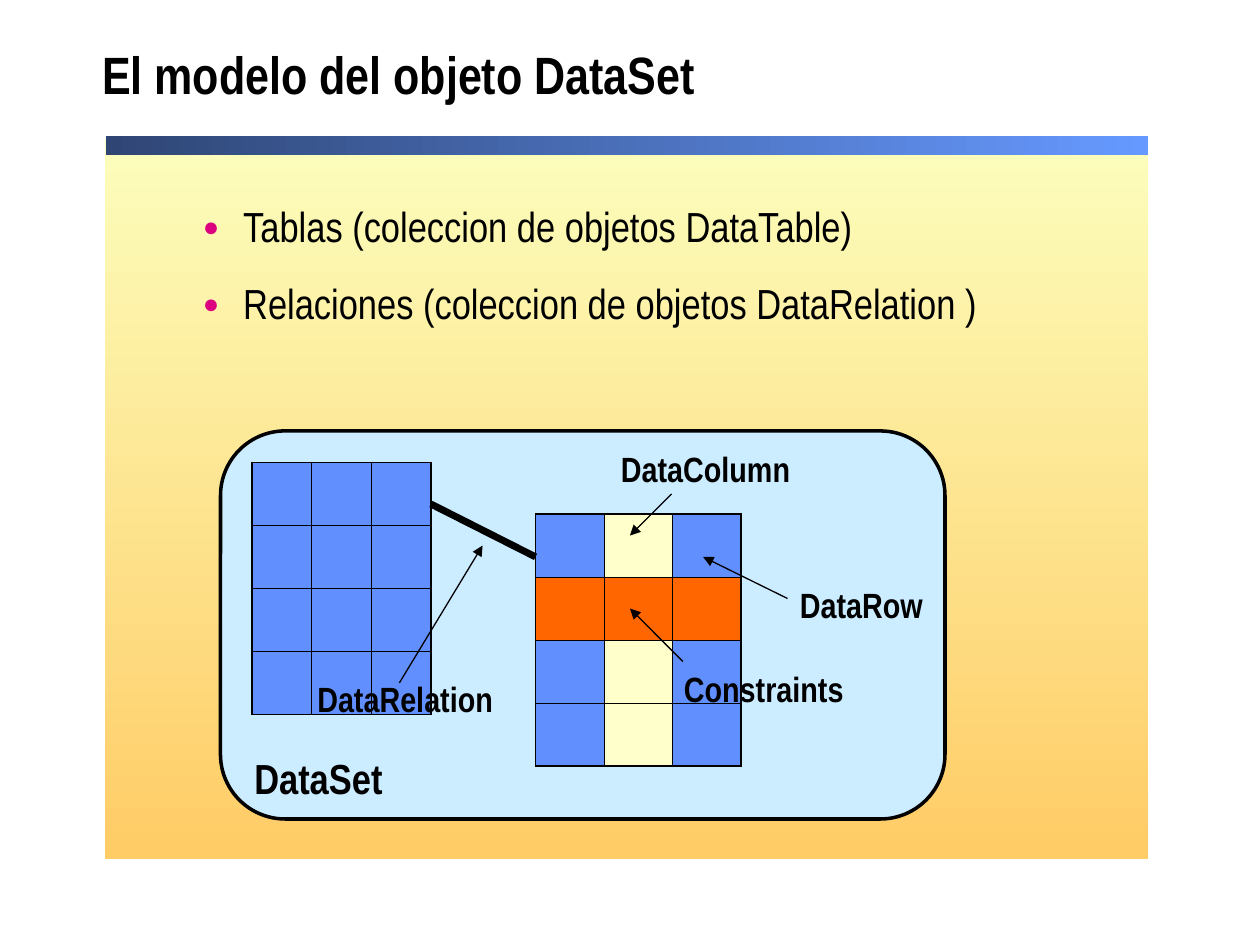
"""Builds the slide on the DataSet object model."""
from lxml import etree
from pptx import Presentation
from pptx.dml.color import RGBColor
from pptx.enum.shapes import MSO_CONNECTOR, MSO_SHAPE
from pptx.enum.text import MSO_ANCHOR, MSO_AUTO_SIZE, PP_ALIGN
from pptx.oxml import parse_xml
from pptx.oxml.ns import nsdecls, qn
from pptx.util import Inches, Pt

RECTANGLE, ROUNDED = MSO_SHAPE.RECTANGLE, MSO_SHAPE.ROUNDED_RECTANGLE
STRAIGHT = MSO_CONNECTOR.STRAIGHT
MIDDLE, LEFT = MSO_ANCHOR.MIDDLE, PP_ALIGN.LEFT
FIT_SHAPE, NO_FIT = MSO_AUTO_SIZE.SHAPE_TO_FIT_TEXT, MSO_AUTO_SIZE.NONE

BLACK = RGBColor(0x00, 0x00, 0x00)
PALE_YELLOW = RGBColor(0xFC, 0xFE, 0xBC)
AMBER = RGBColor(0xFF, 0xCC, 0x66)
NAVY = RGBColor(0x2F, 0x46, 0x75)
SKY = RGBColor(0x66, 0x99, 0xFF)
LIGHT_BLUE = RGBColor(0xCC, 0xEC, 0xFF)
BLUE = RGBColor(0x61, 0x8F, 0xFD)
CREAM = RGBColor(0xFF, 0xFF, 0xCC)
ORANGE = RGBColor(0xFF, 0x66, 0x00)
MAGENTA = RGBColor(0xDC, 0x00, 0x81)
FONT = "Arial Narrow"
ROW_HEIGHT = 0.5


def style_text(paragraph, size, bold):
    paragraph.font.name = FONT
    paragraph.font.size = Pt(size)
    paragraph.font.bold = bold
    paragraph.font.color.rgb = BLACK


def add_grid(shapes, left, top, width, fills):
    row_count, column_count = len(fills), len(fills[0])
    frame = shapes.add_table(row_count, column_count, Inches(left), Inches(top),
                             Inches(width), Inches(ROW_HEIGHT * row_count))
    grid = frame.table
    grid.first_row = grid.horz_banding = False
    for r, row_fills in enumerate(fills):
        for c, color in enumerate(row_fills):
            cell = grid.cell(r, c)
            outer_sides = {"L": c == 0, "R": c == column_count - 1,
                           "T": r == 0, "B": r == row_count - 1}
            for side, outer in outer_sides.items():
                line_width = Pt(1.08 if outer else 0.45)
                cell._tc.get_or_add_tcPr().append(parse_xml(
                    f'<a:ln{side} {nsdecls("a")} w="{line_width}"><a:solidFill>'
                    f'<a:srgbClr val="{BLACK}"/></a:solidFill></a:ln{side}>'))
            cell.fill.solid()
            cell.fill.fore_color.rgb = color


prs = Presentation()
prs.slide_width, prs.slide_height = Inches(10), Inches(7.5)
slide = prs.slides.add_slide(prs.slide_layouts[1])
shapes = slide.shapes
title, collections_list = shapes.title, slide.placeholders[1]

for left, top, width, height, start, end, angle in [
    (0.83, 1.1, 8.28, 5.72, PALE_YELLOW, AMBER, 270),
    (0.84, 1.08, 8.27, 0.15, NAVY, SKY, 0),
]:
    backdrop = shapes.add_shape(RECTANGLE, Inches(left), Inches(top), Inches(width), Inches(height))
    backdrop.shadow.inherit = False
    backdrop.line.fill.background()
    backdrop.fill.gradient()
    backdrop.fill.gradient_angle = angle
    for stop, color in zip(backdrop.fill.gradient_stops, (start, end)):
        stop.color.rgb = color
    title._element.addprevious(backdrop._element)

title.left, title.top, title.width, title.height = Inches(0.71), Inches(0.17), Inches(8.96), Inches(0.92)
title.text_frame.text = "El modelo del objeto DataSet"
title.text_frame.vertical_anchor = MIDDLE
title.text_frame.auto_size = NO_FIT
heading = title.text_frame.paragraphs[0]
heading.alignment = LEFT
heading.line_spacing = 0.8
style_text(heading, 30, True)

collections_list.left, collections_list.top = Inches(1.07), Inches(1.59)
collections_list.width, collections_list.height = Inches(7.85), Inches(4.98)
collections_list.text_frame.text = (
    "Tablas (coleccion de objetos DataTable)\n"
    "Relaciones (coleccion de objetos DataRelation )")
collections_list.text_frame.auto_size = NO_FIT
for item in collections_list.text_frame.paragraphs:
    item.level = 1
    item.line_spacing = 0.9
    item.space_before = Pt(18)
    properties = item._p.get_or_add_pPr()
    properties.set("marL", str(Inches(0.76)))
    properties.set("indent", str(Inches(-0.32)))
    bullet_color = etree.SubElement(properties, qn("a:buClr"))
    etree.SubElement(bullet_color, qn("a:srgbClr"), val=str(MAGENTA))
    etree.SubElement(properties, qn("a:buSzPct"), val="65000")
    etree.SubElement(properties, qn("a:buFont"), typeface="Arial")
    etree.SubElement(properties, qn("a:buChar"), char="●")
    style_text(item, 24, False)

dataset = shapes.add_shape(ROUNDED, Inches(1.75), Inches(3.42), Inches(5.75), Inches(3.08))
dataset.shadow.inherit = False
dataset.fill.solid()
dataset.fill.fore_color.rgb = LIGHT_BLUE
dataset.line.color.rgb = BLACK
dataset.line.width = Pt(2)

plain_row = [BLUE, CREAM, BLUE]
add_grid(shapes, 4.25, 4.08, 1.63, [plain_row, [ORANGE] * 3, plain_row, plain_row])
add_grid(shapes, 2, 3.67, 1.42, [[BLUE] * 3] * 4)

for x1, y1, x2, y2, weight, arrow in [
    (5.33, 3.92, 5, 4.25, 0.75, True),
    (3.42, 4, 4.25, 4.42, 4, False),
    (6.25, 4.75, 5.58, 4.42, 0.75, True),
    (3.17, 5.42, 3.83, 4.33, 0.75, True),
    (5.42, 5.25, 5, 4.83, 0.75, True),
]:
    link = shapes.add_connector(STRAIGHT, Inches(x1), Inches(y1), Inches(x2), Inches(y2))
    link.line.color.rgb = BLACK
    link.line.width = Pt(weight)
    if arrow:
        etree.SubElement(link.line._get_or_add_ln(), qn("a:tailEnd"), type="triangle")
    etree.SubElement(link._element.spPr, qn("a:effectLst"))

for name, left, top, width, height, size in [
    ("DataSet", 1.92, 5.92, 1.25, 0.5, 24),
    ("DataRow", 6.25, 4.58, 1.2, 0.44, 20),
    ("DataColumn", 4.83, 3.5, 1.57, 0.44, 20),
    ("DataRelation", 2.42, 5.33, 1.62, 0.44, 20),
    ("Constraints", 5.33, 5.25, 1.5, 0.44, 20),
]:
    label = shapes.add_textbox(Inches(left), Inches(top), Inches(width), Inches(height))
    label.text_frame.text = name
    label.text_frame.word_wrap = False
    label.text_frame.auto_size = FIT_SHAPE
    label_text = label.text_frame.paragraphs[0]
    label_text.alignment = LEFT
    style_text(label_text, size, True)

prs.save("out.pptx")
